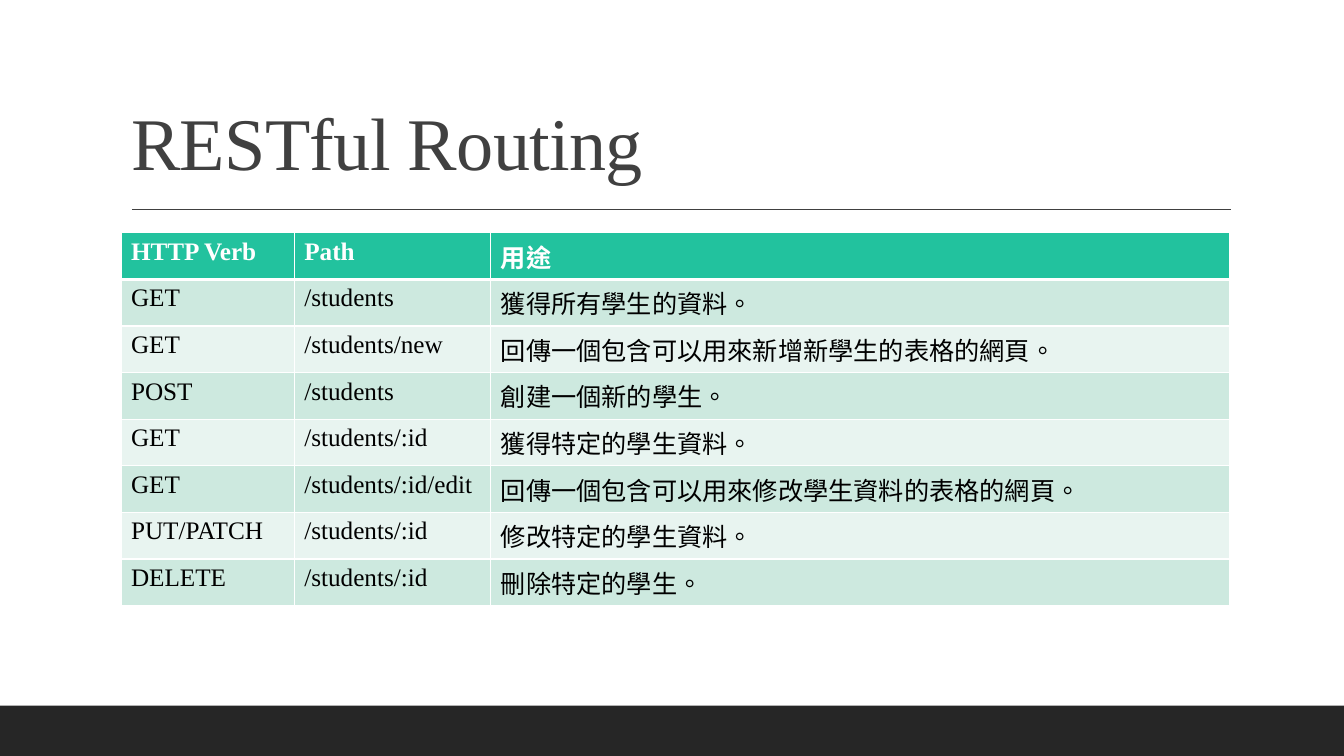
from lxml.etree import SubElement
from pptx import Presentation
from pptx.dml.color import RGBColor
from pptx.enum.shapes import MSO_CONNECTOR, MSO_SHAPE
from pptx.enum.text import MSO_ANCHOR
from pptx.oxml.ns import qn
from pptx.util import Pt

COLORS = {
    "title": "404040", "band": "262626", "header": "22C29E",
    "odd": "CDE9DF", "even": "E8F4F0", "white": "FFFFFF", "black": "000000",
}
COLUMN_WIDTHS = [123.8, 140.4, 527.8]
ROUTES = [
    ("HTTP Verb", "Path", "用途"),
    ("GET", "/students", "獲得所有學生的資料。"),
    ("GET", "/students/new", "回傳一個包含可以用來新增新學生的表格的網頁。"),
    ("POST", "/students", "創建一個新的學生。"),
    ("GET", "/students/:id", "獲得特定的學生資料。"),
    ("GET", "/students/:id/edit", "回傳一個包含可以用來修改學生資料的表格的網頁。"),
    ("PUT/PATCH", "/students/:id", "修改特定的學生資料。"),
    ("DELETE", "/students/:id", "刪除特定的學生。"),
]


def color(name):
    return RGBColor.from_string(COLORS[name])


def write(frame, text, size=18, ink="black", bold=False, font="Times New Roman",
          line_spacing=None, tracking=None):
    """Put one formatted paragraph in a text frame; tracking is in points."""
    para = frame.paragraphs[0]
    para.line_spacing = line_spacing
    span = para.add_run()
    span.text = text
    span.font.name = font
    span.font.size = Pt(size)
    span.font.bold = bold
    span.font.color.rgb = color(ink)
    properties = span.font._element
    properties.set("lang", "zh-TW")
    if tracking is not None:
        properties.set("spc", str(round(tracking * 100)))


def add_borders(cell, bottom):
    """Draw white cell borders, one point wide except at the bottom."""
    properties = cell._tc.get_or_add_tcPr()
    for side, width in (("L", 1), ("R", 1), ("T", 1), ("B", bottom)):
        line = SubElement(properties, qn(f"a:ln{side}"), w=str(Pt(width)))
        fill = SubElement(line, qn("a:solidFill"))
        SubElement(fill, qn("a:srgbClr"), val=COLORS["white"])


class SlideBuilder:
    def __init__(self, page):
        self.page = page

    def band(self, left, top, width, height):
        box = self.page.shapes.add_shape(
            MSO_SHAPE.RECTANGLE, Pt(left), Pt(top), Pt(width), Pt(height))
        box.shadow.inherit = False
        box.fill.solid()
        box.fill.fore_color.rgb = color("band")
        box.line.fill.background()

    def rule(self, left, right, top):
        line = self.page.shapes.add_connector(
            MSO_CONNECTOR.STRAIGHT, Pt(left), Pt(top), Pt(right), Pt(top))
        line.line.color.rgb = color("title")
        line.line.width = Pt(1)
        SubElement(line._element.spPr, qn("a:effectLst"))

    def title(self, text, left, top, width, height):
        box = self.page.shapes.title
        box.left, box.top, box.width, box.height = map(Pt, (left, top, width, height))
        box.text_frame.vertical_anchor = MSO_ANCHOR.BOTTOM
        box.text_frame.word_wrap = True
        write(box.text_frame, text, size=53, ink="title", line_spacing=0.9, tracking=-0.5)
        box.text_frame.paragraphs[0].alignment = 1

    def table(self, rows, widths, left, top, row_height):
        table = self.page.shapes.add_table(
            len(rows), len(widths), Pt(left), Pt(top),
            Pt(sum(widths)), Pt(row_height * len(rows))).table
        for column, width in zip(table.columns, widths):
            column.width = Pt(width)
        for r, values in enumerate(rows):
            header = r == 0
            shade = "header" if header else "odd" if r % 2 else "even"
            table.rows[r].height = Pt(row_height)
            for c, text in enumerate(values):
                cell = table.cell(r, c)
                add_borders(cell, bottom=3 if header else 1)
                cell.fill.solid()
                cell.fill.fore_color.rgb = color(shade)
                write(cell.text_frame, text, bold=header,
                      ink="white" if header else "black")


def main():
    deck = Presentation()
    deck.slide_width, deck.slide_height = Pt(960), Pt(540)
    slide = SlideBuilder(deck.slides.add_slide(deck.slide_layouts[5]))
    slide.band(0, 504, 960, 36)
    slide.rule(94.3, 879.1, 149.8)
    slide.title("RESTful Routing", 86.4, 22.3, 792, 114.5)
    slide.table(ROUTES, COLUMN_WIDTHS, 86.4, 166.3, 30)
    deck.save("out.pptx")


if __name__ == "__main__":
    main()
